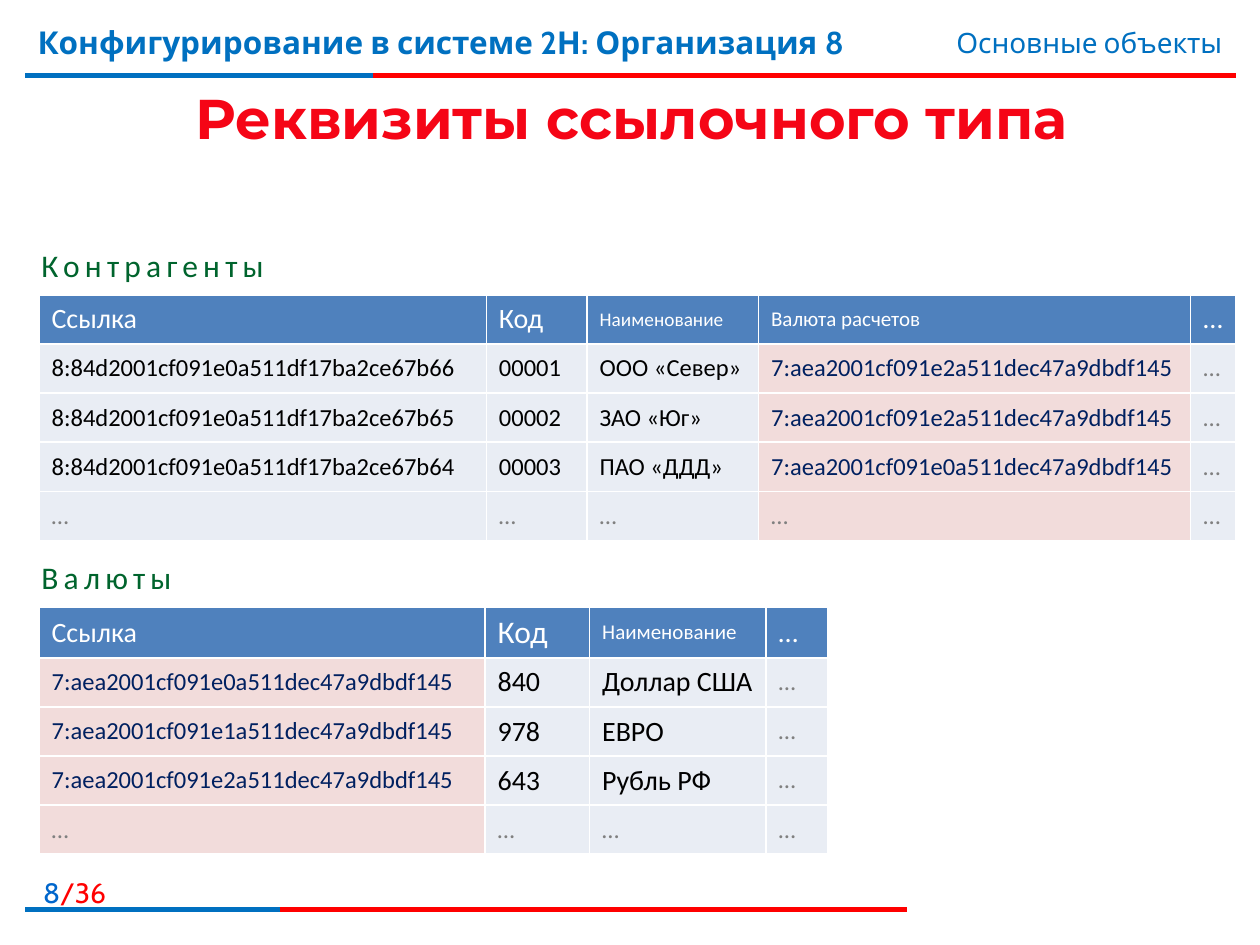
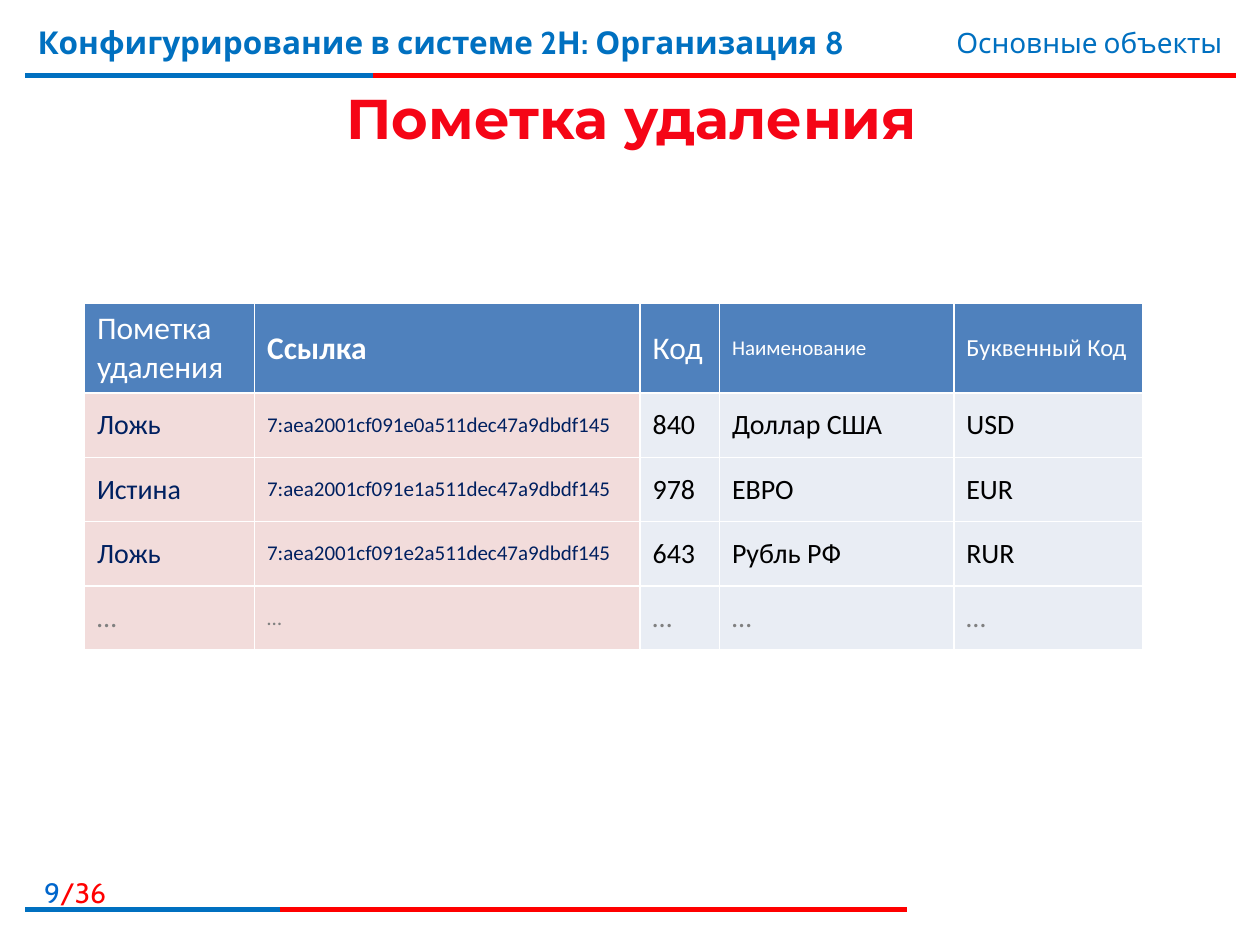
from dataclasses import dataclass

from lxml import etree
from pptx import Presentation
from pptx import util as u
from pptx.dml.color import RGBColor
from pptx.enum import shapes, text
from pptx.oxml import ns

COLORS = {
    "red": "FF0000",
    "blue": "0070C0",
    "page": "0066CC",
    "title": "F50516",
    "caption": "00642D",
    "header": "4F81BD",
    "plain": "E9EDF4",
    "linked": "F2DCDB",
    "white": "FFFFFF",
    "black": "000000",
    "navy": "002060",
    "gray": "808080",
}
HEADING_FONT, TITLE_FONT, BODY_FONT = "Cabin", "Montserrat", "Calibri"
LEFT, RIGHT = text.PP_ALIGN.LEFT, text.PP_ALIGN.RIGHT
CENTER = text.PP_ALIGN.CENTER
TOTAL_PAGES = 36
DOTS = "…"


@dataclass(frozen=True)
class Rule:
    top: float
    blue_end: float
    red_end: float


@dataclass(frozen=True)
class Column:
    heading: str
    width: float
    heading_size: int = 16
    size: int = 14
    dots_size: int = 14
    linked: bool = False
    bold: bool = False


@dataclass(frozen=True)
class Grid:
    left: float
    top: float
    heading_height: float
    row_height: float
    columns: list[Column]
    records: list[tuple[str, ...]]


RULES = [Rule(0.6, 2.96, 9.81), Rule(7.22, 2.22, 7.2)]
RULE_LEFT = 0.2

CURRENCIES = [
    ("7:aea2001cf091e0a511dec47a9dbdf145", "840", "Доллар США"),
    ("7:aea2001cf091e1a511dec47a9dbdf145", "978", "ЕВРО"),
    ("7:aea2001cf091e2a511dec47a9dbdf145", "643", "Рубль РФ"),
]
DOLLAR_REF, EURO_REF, ROUBLE_REF = (currency[0] for currency in CURRENCIES)
PARTNERS = [
    ("66", "ООО «Север»", ROUBLE_REF),
    ("65", "ЗАО «Юг»", ROUBLE_REF),
    ("64", "ПАО «ДДД»", DOLLAR_REF),
]
DELETION_MARKS = ["Ложь", "Истина", "Ложь"]
LETTER_CODES = ["USD", "EUR", "RUR"]

partner_grid = Grid(
    0.31, 2.34, 0.39, 0.39,
    [
        Column("Ссылка", 3.55),
        Column("Код", 0.8),
        Column("Наименование", 1.36, heading_size=11),
        Column("Валюта расчетов", 3.43, heading_size=12, linked=True),
        Column(DOTS, 0.36),
    ],
    [
        (f"8:84d2001cf091e0a511df17ba2ce67b{ending}", f"{number:05d}", name, currency, DOTS)
        for number, (ending, name, currency) in enumerate(PARTNERS, 1)
    ],
)
currency_grid = Grid(
    0.31, 4.82, 0.39, 0.39,
    [
        Column("Ссылка", 3.54, linked=True),
        Column("Код", 0.83, heading_size=18, size=16),
        Column("Наименование", 1.4, heading_size=12, size=16),
        Column(DOTS, 0.49),
    ],
    [(*currency, DOTS) for currency in CURRENCIES],
)
deletion_grid = Grid(
    0.67, 2.41, 0.71, 0.51,
    [
        Column("Пометка удаления", 1.35, 18, 16, 16, linked=True),
        Column("Ссылка", 3.06, 18, 12, 12, linked=True, bold=True),
        Column("Код", 0.63, 18, 16, 16),
        Column("Наименование", 1.86, 12, 16, 16),
        Column("Буквенный Код", 1.5, 14, 16, 16),
    ],
    [
        (mark, *currency, letters)
        for mark, currency, letters in zip(DELETION_MARKS, CURRENCIES, LETTER_CODES)
    ],
)


def rgb(color: str) -> RGBColor:
    return RGBColor.from_string(COLORS[color])


def write(paragraph, words: str, *, size: int, color: str, font: str = BODY_FONT,
          bold: bool = False, align=LEFT, spacing: int = 0) -> None:
    paragraph.alignment = align
    run = paragraph.add_run()
    run.text = words
    run.font.name = font
    run.font.size = u.Pt(size)
    run.font.bold = bold
    run.font.color.rgb = rgb(color)
    if spacing:
        run.font._element.set("spc", str(spacing * 100))


def add_box(slide, left: float, top: float, width: float, height: float, *,
            wrap: bool = True, anchor=text.MSO_ANCHOR.TOP):
    frame = slide.shapes.add_textbox(
        u.Inches(left), u.Inches(top), u.Inches(width), u.Inches(height)
    ).text_frame
    frame.word_wrap = wrap
    frame.vertical_anchor = anchor
    return frame.paragraphs[0]


def draw_rule(slide, rule: Rule) -> None:
    for end, color in ((rule.red_end, "red"), (rule.blue_end, "blue")):
        stroke = slide.shapes.add_connector(
            shapes.MSO_CONNECTOR.STRAIGHT,
            u.Inches(RULE_LEFT), u.Inches(rule.top), u.Inches(end), u.Inches(rule.top),
        )
        stroke.line.color.rgb = rgb(color)
        stroke.line.width = u.Pt(3)
        etree.SubElement(stroke._element.spPr, ns.qn("a:effectLst"))


def draw_cell(cell, words: str, fill: str, *, size: int, color: str, bold: bool = False) -> None:
    cell.vertical_anchor = text.MSO_ANCHOR.MIDDLE
    properties = cell._tc.get_or_add_tcPr()
    for side in ("lnL", "lnR", "lnT", "lnB"):
        border = etree.SubElement(properties, ns.qn(f"a:{side}"), w=str(u.Pt(1)))
        solid = etree.SubElement(border, ns.qn("a:solidFill"))
        etree.SubElement(solid, ns.qn("a:srgbClr"), val=COLORS["white"])
    cell.fill.solid()
    cell.fill.fore_color.rgb = rgb(fill)
    write(cell.text_frame.paragraphs[0], words, size=size, color=color, bold=bold)


def draw_grid(slide, grid: Grid) -> None:
    records = grid.records + [(DOTS,) * len(grid.columns)]
    width = sum(column.width for column in grid.columns)
    height = grid.heading_height + grid.row_height * len(records)
    table = slide.shapes.add_table(
        len(records) + 1, len(grid.columns),
        u.Inches(grid.left), u.Inches(grid.top), u.Inches(width), u.Inches(height),
    ).table
    table.horz_banding = False
    for row in table.rows:
        row.height = u.Inches(grid.row_height)
    table.rows[0].height = u.Inches(grid.heading_height)
    for position, column in enumerate(grid.columns):
        table.columns[position].width = u.Inches(column.width)
        draw_cell(table.cell(0, position), column.heading, "header",
                  size=column.heading_size, color="white", bold=column.bold)
        fill, ink = ("linked", "navy") if column.linked else ("plain", "black")
        for line, record in enumerate(records, 1):
            words = record[position]
            size, color = (column.dots_size, "gray") if words == DOTS else (column.size, ink)
            draw_cell(table.cell(line, position), words, fill, size=size, color=color)


def add_page(deck, number: int, title: str):
    slide = deck.slides.add_slide(deck.slide_layouts[6])
    for rule in RULES:
        draw_rule(slide, rule)
    page = add_box(slide, 0, 6.9, 0.94, 0.32)
    write(page, str(number), size=16, color="page", font=HEADING_FONT, align=RIGHT)
    write(page, f"/{TOTAL_PAGES}", size=16, color="red", font=HEADING_FONT, align=RIGHT)
    write(add_box(slide, 0.2, 0.13, 7.4, 0.62),
          "Конфигурирование в системе 2Н: Организация 8",
          size=18, color="blue", font=HEADING_FONT, bold=True)
    write(add_box(slide, 5.94, 0.15, 3.86, 0.37), "Основные объекты",
          size=16, color="blue", font=HEADING_FONT, align=RIGHT)
    write(add_box(slide, 0.21, 0.63, 9.61, 0.6, anchor=text.MSO_ANCHOR.MIDDLE), title,
          size=32, color="title", font=TITLE_FONT, bold=True, align=CENTER)
    return slide


def add_caption(slide, words: str, top: float, width: float) -> None:
    write(add_box(slide, 0.23, top, width, 0.4, wrap=False), words,
          size=18, color="caption", spacing=3)


deck = Presentation()
deck.slide_width, deck.slide_height = u.Inches(10), u.Inches(7.5)

references = add_page(deck, 8, "Реквизиты ссылочного типа")
draw_grid(references, currency_grid)
draw_grid(references, partner_grid)
add_caption(references, "Контрагенты", 1.9, 2.03)
add_caption(references, "Валюты", 4.38, 1.29)

deletion = add_page(deck, 9, "Пометка удаления")
draw_grid(deletion, deletion_grid)

deck.save("out.pptx")
